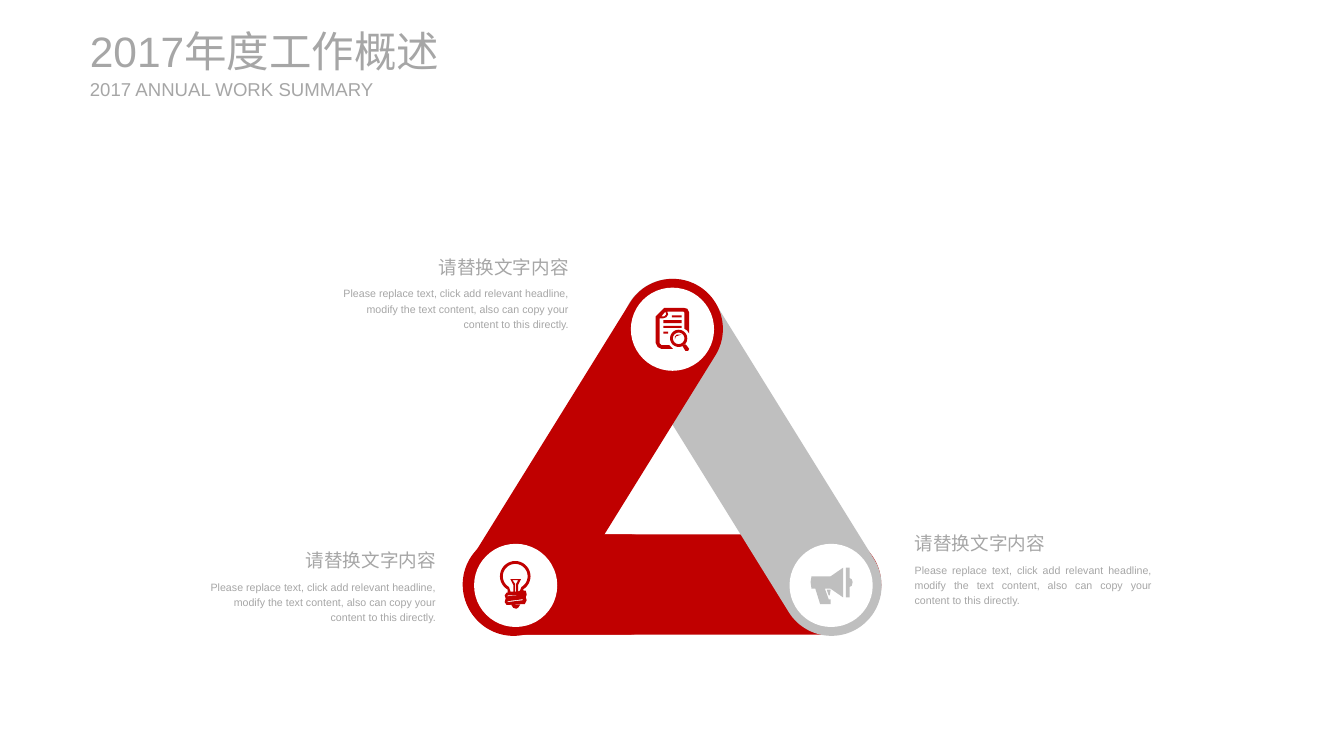
from math import cos, radians, sin

from pptx import Presentation
from pptx.dml.color import RGBColor
from pptx.enum.shapes import MSO_SHAPE as SHAPE
from pptx.enum.text import MSO_ANCHOR as ANCHOR, MSO_AUTO_SIZE as AUTO, PP_ALIGN as ALIGN
from pptx.util import Inches, Pt


def arc(cx, cy, r, start=0, end=360, step=10):
    return [(cx + r * cos(radians(a)), cy + r * sin(radians(a)))
            for a in range(start, end + 1, step)]


def rect(x1, y1, x2, y2):
    return [(x1, y1), (x2, y1), (x2, y2), (x1, y2)]


COLORS = {"red": "C00000", "silver": "BFBFBF", "white": "FFFFFF", "text": "A6A6A6"}
FONT = "Arial"
TITLE = ("2017年度工作概述", 0.94, 0.26, 4.32, 0.54, 32)
SUBTITLE = ("2017 ANNUAL WORK SUMMARY", 0.94, 0.81, 3.07, 0.24, 14)
HEADING = "请替换文字内容"
BODY = ("Please replace text, click add relevant headline, modify the text content, "
        "also can copy your content to this directly.")

CAPTIONS = [
    (9.47, 5.47, 1.61, 2.68, ALIGN.LEFT, ALIGN.JUSTIFY),
    (3.46, 2.58, 2.59, 2.59, ALIGN.RIGHT, ALIGN.RIGHT),
    (2.07, 5.65, 2.59, 2.59, ALIGN.RIGHT, ALIGN.RIGHT),
]
BAR_H, DISC = 1.05, 0.87
BARS = [
    (4.86, 5.59, 4.36, 0, "red"),
    (5.76, 4.26, 4.21, 58.2, "silver"),
    (4.1, 4.26, 4.21, 301.8, "red"),
    (4.84, 5.59, 2.25, 0, "red"),
]
DISCS = [(6.6, 3.01), (4.96, 5.69), (8.26, 5.69)]

DOCUMENT = [
    [(6.96, 3.22), (7.15, 3.22), (7.19, 3.23), (7.21, 3.27), (7.21, 3.49), (7.19, 3.46),
     (7.16, 3.44), (7.16, 3.27), (7.15, 3.26), (6.98, 3.26), (6.99, 3.29), (6.97, 3.32),
     (6.94, 3.33), (6.9, 3.33), (6.9, 3.59), (6.92, 3.61), (7, 3.61), (7.04, 3.65),
     (6.92, 3.65), (6.88, 3.63), (6.86, 3.59), (6.86, 3.31), (6.95, 3.22)],
    [(6.96, 3.26), (6.92, 3.31), (6.95, 3.31), (6.97, 3.29)],
    rect(7.03, 3.3, 7.13, 3.32),
    rect(6.94, 3.35, 7.13, 3.38),
    rect(6.94, 3.41, 7.13, 3.43),
    rect(6.94, 3.47, 6.99, 3.49),
    arc(7.1, 3.54, 0.09),
    arc(7.1, 3.54, 0.06),
    [(7.06, 3.55), (7.07, 3.52), (7.13, 3.5), (7.08, 3.5), (7.06, 3.52)],
    [(7.14, 3.62), (7.17, 3.67), (7.2, 3.67), (7.21, 3.65), (7.18, 3.61), (7.16, 3.6)],
]
BULB = [
    arc(5.39, 6.03, 0.16, 120, 420)
    + [(5.48, 6.18), (5.5, 6.18), (5.51, 6.22), (5.5, 6.25), (5.51, 6.28), (5.49, 6.32),
       (5.3, 6.33), (5.28, 6.3), (5.29, 6.26), (5.28, 6.23), (5.3, 6.2), (5.31, 6.2)],
    arc(5.39, 6.03, 0.13, 120, 420)
    + [(5.44, 6.18), (5.42, 6.19), (5.42, 6.12), (5.45, 6.06), (5.34, 6.06),
       (5.37, 6.12), (5.37, 6.19), (5.34, 6.19)],
    [(5.42, 6.07), (5.4, 6.11), (5.4, 6.19), (5.39, 6.19), (5.39, 6.11), (5.36, 6.07)],
    [(5.31, 6.23), (5.47, 6.22), (5.47, 6.22), (5.31, 6.24)],
    [(5.31, 6.29), (5.47, 6.27), (5.47, 6.28), (5.31, 6.3)],
    [(5.35, 6.33), (5.37, 6.36), (5.4, 6.37), (5.42, 6.36), (5.44, 6.33)],
]
MEGAPHONE = [
    [(8.49, 6.03), (8.69, 6.03), (8.82, 5.94), (8.82, 6.25), (8.69, 6.16), (8.63, 6.16),
     (8.67, 6.27), (8.69, 6.27), (8.69, 6.32), (8.58, 6.32), (8.53, 6.16), (8.49, 6.16),
     (8.48, 6.09)],
    [(8.85, 5.94), (8.89, 5.94), (8.89, 6.05), (8.91, 6.06), (8.92, 6.09), (8.91, 6.13),
     (8.89, 6.14), (8.89, 6.25), (8.85, 6.25)],
    [(8.65, 6.17), (8.69, 6.17), (8.68, 6.23), (8.67, 6.23)],
]
ICONS = [(DOCUMENT, "red"), (BULB, "red"), (MEGAPHONE, "silver")]


def paint(sp, color):
    sp.shadow.inherit = False
    sp.fill.solid()
    sp.fill.fore_color.rgb = RGBColor.from_string(COLORS[color])
    sp.line.fill.background()


def add_icon(shapes, contours, color):
    outlines = [[(Inches(x), Inches(y)) for x, y in c] for c in contours]
    builder = shapes.build_freeform(*outlines[0][0], scale=1)
    builder.add_line_segments(outlines[0][1:], close=True)
    for outline in outlines[1:]:
        builder.move_to(*outline[0])
        builder.add_line_segments(outline[1:], close=True)
    paint(builder.convert_to_shape(), color)


def write(sp, text, size, align=ALIGN.LEFT, spacing=1.0):
    tf = sp.text_frame
    tf.text = text
    tf.word_wrap = True
    tf.auto_size = AUTO.SHAPE_TO_FIT_TEXT
    p = tf.paragraphs[0]
    p.alignment = align
    p.line_spacing = spacing
    p.font.size = Pt(size)
    p.font.name = FONT
    p.font.color.rgb = RGBColor.from_string(COLORS["text"])
    return tf


def write_header(sp, text, x, y, w, h, size):
    sp.left, sp.top, sp.width, sp.height = map(Inches, (x, y, w, h))
    tf = write(sp, text, size)
    tf.vertical_anchor = ANCHOR.MIDDLE
    tf.margin_left = tf.margin_top = tf.margin_right = tf.margin_bottom = 0


def main():
    prs = Presentation()
    prs.slide_width, prs.slide_height = Inches(14.06), Inches(7.91)
    s = prs.slides.add_slide(prs.slide_layouts[5])
    shapes = s.shapes

    for x, y, w, angle, color in BARS:
        sp = shapes.add_shape(SHAPE.ROUNDED_RECTANGLE, *map(Inches, (x, y, w, BAR_H)))
        sp.adjustments[0] = 0.5
        sp.rotation = angle
        paint(sp, color)
    for x, y in DISCS:
        paint(shapes.add_shape(SHAPE.OVAL, *map(Inches, (x, y, DISC, DISC))), "white")
    for contours, color in ICONS:
        add_icon(shapes, contours, color)

    for x, y, head_w, body_w, head_align, body_align in CAPTIONS:
        head = shapes.add_textbox(*map(Inches, (x, y, head_w, 0.36)))
        write(head, HEADING, 14, head_align, 1.2)
        body = shapes.add_textbox(*map(Inches, (x, y + 0.35, body_w, 0.57)))
        write(body, BODY, 8, body_align, 1.2)

    write_header(shapes.title, *TITLE)
    write_header(shapes.add_textbox(0, 0, 0, 0), *SUBTITLE)
    prs.save("out.pptx")


if __name__ == "__main__":
    main()
